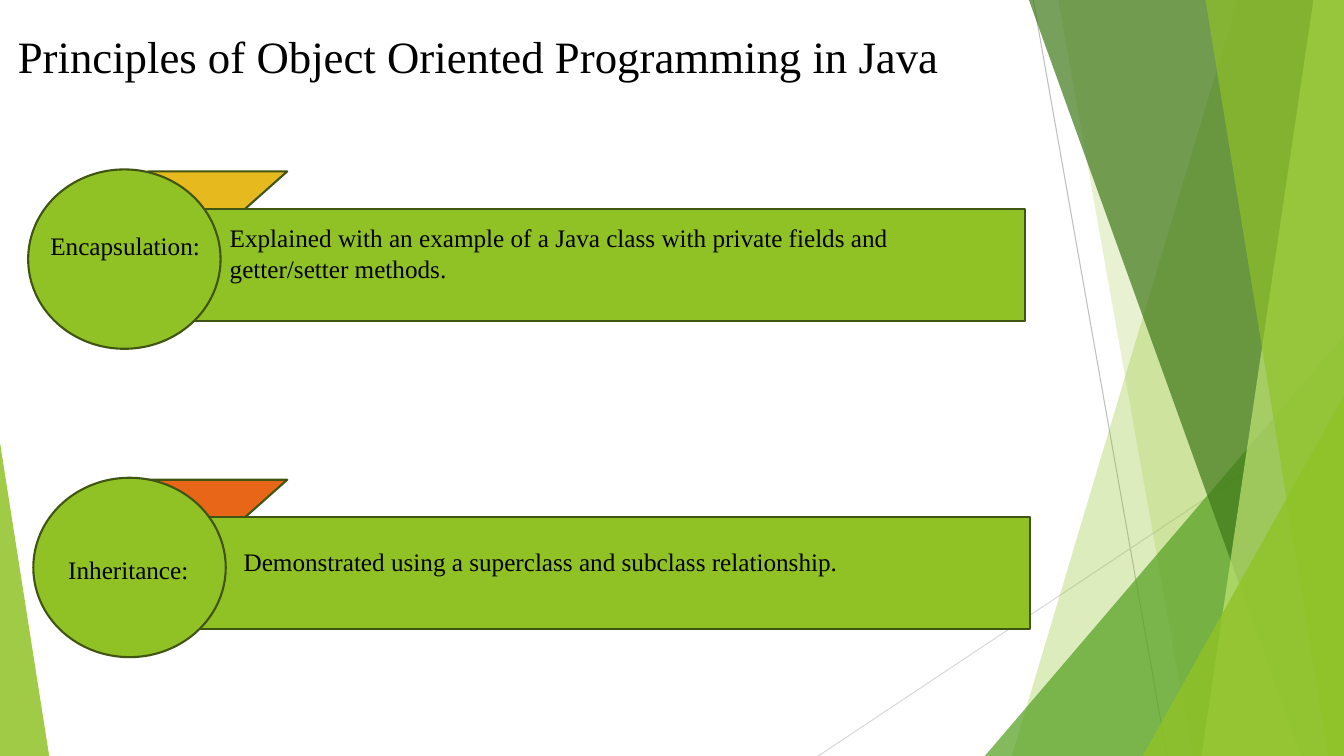
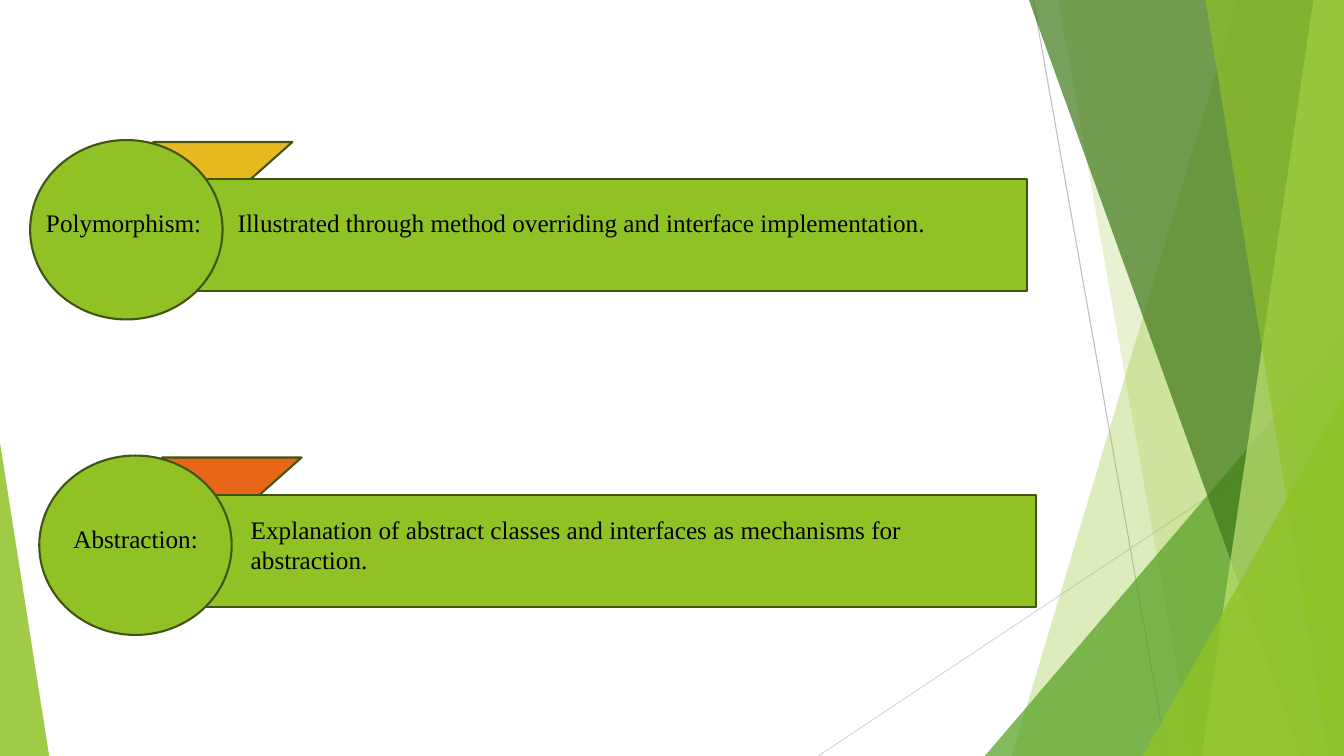
"""Build two slides on the principles of object oriented programming in Java."""
from lxml import etree
from pptx import Presentation, util as u
from pptx.dml.color import RGBColor
from pptx.enum import shapes, text
from pptx.oxml.ns import qn

FONT = "Times New Roman"
BLACK = RGBColor(0x00, 0x00, 0x00)
LIME = RGBColor(0x90, 0xC2, 0x26)
GREEN = RGBColor(0x54, 0xA0, 0x21)
FOREST = RGBColor(0x3F, 0x78, 0x19)
PALE = RGBColor(0xC0, 0xE4, 0x74)
OUTLINE = RGBColor(0x3F, 0x55, 0x11)
GOLD = RGBColor(0xE6, 0xB9, 0x1E)
ORANGE = RGBColor(0xE7, 0x66, 0x18)
GREY = RGBColor(0xBF, 0xBF, 0xBF)
LIGHT_GREY = RGBColor(0xD9, 0xD9, 0xD9)
WIDTH, HEIGHT = 33.87, 19.05
SHAPE = shapes.MSO_SHAPE


def add_outlined(s, kind, x, y, w, h, color):
    sp = s.shapes.add_shape(kind, u.Cm(x), u.Cm(y), u.Cm(w), u.Cm(h))
    sp.shadow.inherit = False
    sp.fill.solid()
    sp.fill.fore_color.rgb = color
    sp.line.color.rgb = OUTLINE
    sp.line.width = u.Pt(1.5)


def add_text(s, words, x, y, w, h, size=18):
    tf = s.shapes.add_textbox(u.Cm(x), u.Cm(y), u.Cm(w), u.Cm(h)).text_frame
    tf.word_wrap = True
    tf.vertical_anchor = text.MSO_ANCHOR.TOP
    p = tf.paragraphs[0]
    p.text = words
    p.font.name = FONT
    p.font.size = u.Pt(size)
    p.font.color.rgb = BLACK


prs = Presentation()
prs.slide_width, prs.slide_height = u.Cm(WIDTH), u.Cm(HEIGHT)
blank = prs.slide_layouts[6]
for ph in list(blank.placeholders):
    ph.element.getparent().remove(ph.element)
slides = [prs.slides.add_slide(blank) for _ in range(2)]

backdrop = slides[0].shapes
for x1, y1, x2, color in [(26.04, 0, 29.41, GREY), (WIDTH, 10.24, 20.62, LIGHT_GREY)]:
    line = backdrop.add_connector(shapes.MSO_CONNECTOR.STRAIGHT,
                                  u.Cm(x1), u.Cm(y1), u.Cm(x2), u.Cm(HEIGHT))
    line.line.color.rgb = color
    line.line.width = u.Pt(0.75)
    etree.SubElement(line.element.spPr, qn("a:effectLst"))

bands = [
    ("band", (31.19, 25.5), LIME, 30),
    ("band", (26.67, 30.05), LIME, 20),
    ("triangle", (24.82, 8.46, 9.05, 1), GREEN, 72),
    ("band", (25.93, 32.79), FOREST, 70),
    ("band", (33.1, 30.28), PALE, 70),
    ("band", (30.38, 33.48), LIME, 65),
    ("triangle", (28.8, 9.98, 5.07, 1), LIME, 80),
    ("triangle", (0, 11.15, 1.24, 0), LIME, 85),
]
for kind, geometry, color, opacity in bands:
    if kind == "band":
        top_x, bottom_x = geometry
        outline = backdrop.build_freeform(u.Cm(top_x), 0)
        outline.add_line_segments([(u.Cm(WIDTH), 0), (u.Cm(WIDTH), u.Cm(HEIGHT)),
                                   (u.Cm(bottom_x), u.Cm(HEIGHT))])
        sp = outline.convert_to_shape()
    else:
        x, y, w, apex = geometry
        sp = backdrop.add_shape(SHAPE.ISOSCELES_TRIANGLE,
                                u.Cm(x), u.Cm(y), u.Cm(w), u.Cm(HEIGHT - y))
        sp.adjustments[0] = apex
    sp.shadow.inherit = False
    sp.line.fill.background()
    sp.fill.solid()
    sp.fill.fore_color.rgb = color
    rgb = sp.element.spPr.find(qn("a:solidFill")).find(qn("a:srgbClr"))
    etree.SubElement(rgb, qn("a:alpha"), val=str(opacity * 1000))

for sp in list(backdrop):
    blank.shapes.element.append(sp.element)

add_text(slides[0], "Principles of Object Oriented Programming in Java",
         0.2, 0.61, 24.38, 1.63, 32)

principles = [
    (0, (0.71, 4.27), 3.73, GOLD, "Encapsulation:", (1.02, 5.69),
     "Explained with an example of a Java class with private fields and "
     "getter/setter methods.", (5.54, 5.49, 19.94, 2.57)),
    (0, (0.84, 12.04), 3.73, ORANGE, "Inheritance:", (1.47, 13.84),
     "Demonstrated using a superclass and subclass relationship.",
     (5.89, 13.64, 19.96, 1.8)),
    (1, (0.76, 3.53), 3.86, GOLD, "Polymorphism:", (0.91, 5.11),
     "Illustrated through method overriding and interface implementation.",
     (5.74, 5.11, 19.61, 1.8)),
    (1, (0.99, 11.48), 4.09, ORANGE, "Abstraction:", (1.6, 13.06),
     "Explanation of abstract classes and interfaces as mechanisms for "
     "abstraction.", (6.07, 12.83, 19.18, 2.57)),
]
for number, (x, y), corner_x, accent, name, name_at, detail, detail_box in principles:
    s = slides[number]
    add_outlined(s, SHAPE.HALF_FRAME, corner_x, y + 0.05, 3.51, 3.12, accent)
    add_outlined(s, SHAPE.RECTANGLE, x + 0.75, y + 0.99, 24.38, 2.82, LIME)
    add_outlined(s, SHAPE.OVAL, x, y, 4.85, 4.52, LIME)
    add_text(s, name, *name_at, 4.85, 1.8)
    add_text(s, detail, *detail_box)

prs.save("out.pptx")
